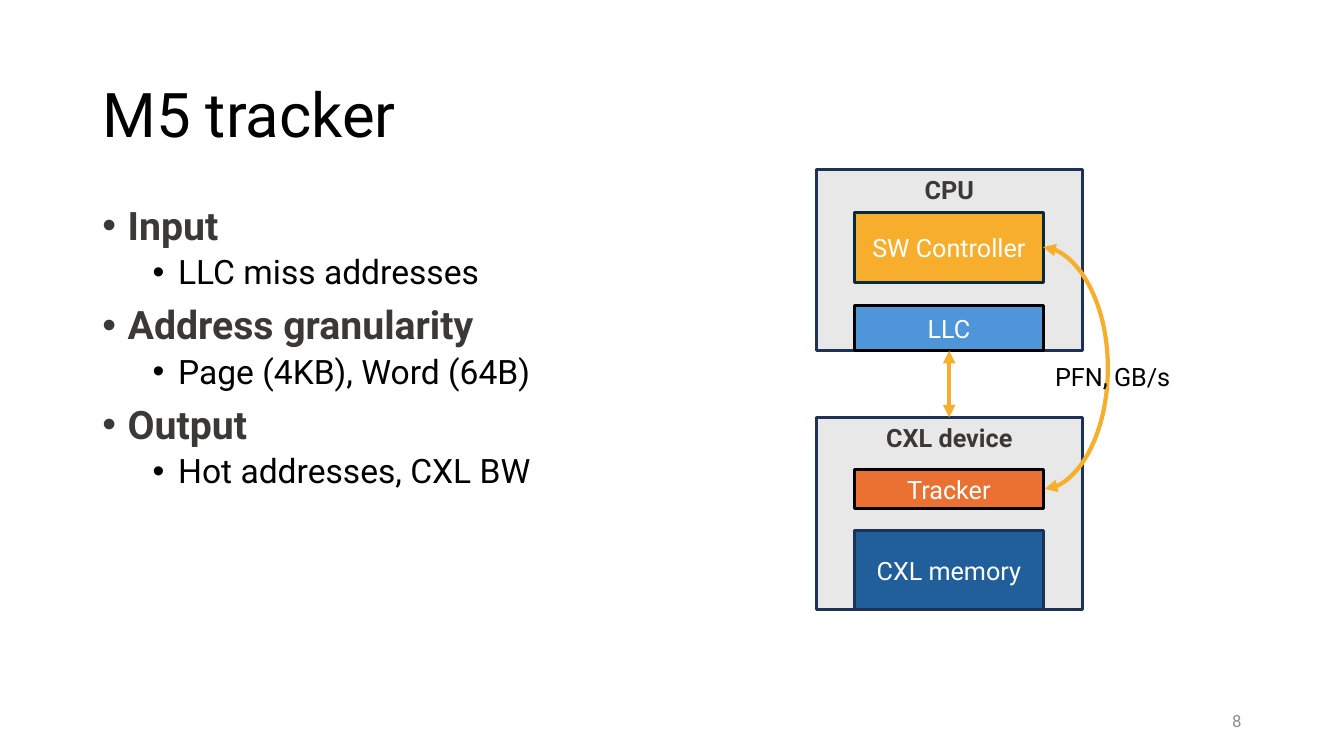
"""Builds the M5 tracker slide with its bullet list and block diagram."""
import pptx
import pptx.dml.color
import pptx.enum.shapes
import pptx.enum.text
import pptx.oxml.ns
import pptx.util
from lxml import etree

Cm = pptx.util.Cm
Pt = pptx.util.Pt
ALIGN = pptx.enum.text.PP_ALIGN
ANCHOR = pptx.enum.text.MSO_ANCHOR
CONNECTOR = pptx.enum.shapes.MSO_CONNECTOR
qn = pptx.oxml.ns.qn


def color(code):
    return pptx.dml.color.RGBColor.from_string(code)


class Diagram:
    """Style of the deck and the slide being drawn."""

    font, black, dark, white = "Roboto", "000000", "3B3838", "FFFFFF"
    navy, amber = "1E3256", "F7AE2D"

    def __init__(self, slide):
        self.slide = slide

    def add_run(self, paragraph, words, size, ink, bold=False):
        run = paragraph.add_run()
        run.text = words
        run.font.name = self.font
        run.font.size = Pt(size)
        run.font.bold = bold
        run.font.color.rgb = color(ink)

    def frame(self, left, top, width, height, anchor=ANCHOR.TOP, wrap=True):
        area = self.slide.shapes.add_textbox(Cm(left), Cm(top), Cm(width), Cm(height))
        area.text_frame.word_wrap = wrap
        area.text_frame.vertical_anchor = anchor
        return area.text_frame

    def text(self, words, place, size, ink, align=ALIGN.LEFT, anchor=ANCHOR.MIDDLE, wrap=True):
        paragraph = self.frame(*place, anchor, wrap).paragraphs[0]
        paragraph.alignment = align
        self.add_run(paragraph, words, size, ink)

    def bullets(self, items, place):
        body = self.frame(*place)
        for index, (level, words) in enumerate(items):
            paragraph = body.add_paragraph() if index else body.paragraphs[0]
            paragraph.level = level
            paragraph.line_spacing = 0.9
            paragraph.space_before = Pt((5 if level else 10) if index else 0)
            properties = paragraph._p.get_or_add_pPr()
            properties.set("marL", str(Cm(1.91 if level else 0.64)))
            properties.set("indent", str(-Cm(0.64)))
            etree.SubElement(properties, qn("a:buFont")).set("typeface", "Arial")
            etree.SubElement(properties, qn("a:buChar")).set("char", "•")
            if level:
                self.add_run(paragraph, words, 24, self.black)
            else:
                self.add_run(paragraph, words, 28, self.dark, True)

    def block(self, words, place, fill, line, ink, anchor=ANCHOR.MIDDLE, bold=False):
        rectangle = self.slide.shapes.add_shape(
            pptx.enum.shapes.MSO_SHAPE.RECTANGLE, *map(Cm, place))
        rectangle.shadow.inherit = False
        rectangle.fill.solid()
        rectangle.fill.fore_color.rgb = color(fill)
        rectangle.line.color.rgb = color(line)
        rectangle.line.width = Pt(2.25)
        rectangle.text_frame.word_wrap = True
        rectangle.text_frame.vertical_anchor = anchor
        paragraph = rectangle.text_frame.paragraphs[0]
        paragraph.alignment = ALIGN.CENTER
        self.add_run(paragraph, words, 18, ink, bold)

    def host(self, words, top, height):
        self.block(words, (20.57, top, 6.71, height), "E8E8E8", self.navy,
                   self.dark, ANCHOR.TOP, True)

    def unit(self, words, top, height, fill, line):
        self.block(words, (21.54, top, 4.75, height), fill, line, self.white)

    def arrow(self, start, end, bulge=0):
        kind = CONNECTOR.CURVE if bulge else CONNECTOR.STRAIGHT
        link = self.slide.shapes.add_connector(kind, *map(Cm, start + end))
        link.line.color.rgb = color(self.amber)
        link.line.width = Pt(3)
        properties = link._element.spPr
        outline = properties.find(qn("a:ln"))
        for tip in ("a:headEnd", "a:tailEnd"):
            etree.SubElement(outline, qn(tip)).set("type", "triangle")
        etree.SubElement(properties, qn("a:effectLst"))
        if bulge:
            ratio = round(bulge / (end[0] - start[0]) * 100000)
            guide = etree.SubElement(properties.find(".//" + qn("a:avLst")), qn("a:gd"))
            guide.set("name", "adj1")
            guide.set("fmla", f"val {ratio}")


def main():
    deck = pptx.Presentation()
    deck.slide_width, deck.slide_height = Cm(33.87), Cm(19.05)
    diagram = Diagram(deck.slides.add_slide(deck.slide_layouts[6]))

    diagram.text("M5 tracker", (2.33, 1.01, 29.21, 3.68), 44, diagram.black)
    diagram.text("8", (23.92, 17.66, 7.62, 1.01), 12, "8C8C8C", ALIGN.RIGHT)
    diagram.bullets([
        (0, "Input"), (1, "LLC miss addresses"),
        (0, "Address granularity"), (1, "Page (4KB), Word (64B)"),
        (0, "Output"), (1, "Hot addresses, CXL BW"),
    ], (2.33, 5.07, 13.87, 12.09))

    diagram.host("CXL device", 10.52, 4.85)
    diagram.unit("CXL memory", 13.36, 2.01, "215F9B", diagram.navy)
    diagram.unit("Tracker", 11.84, 0.97, "EA7131", diagram.black)
    diagram.host("CPU", 4.27, 4.57)
    diagram.unit("LLC", 7.7, 1.14, "4E95D9", diagram.black)
    diagram.unit("SW Controller", 5.36, 1.75, diagram.amber, "092A39")

    diagram.arrow((23.92, 8.84), (23.92, 10.52))
    diagram.arrow((26.29, 6.23), (26.33, 12.32), bulge=1.63)
    diagram.text("PFN, GB/s", (26.34, 8.97, 3.5, 1.03), 18, diagram.black,
                 anchor=ANCHOR.TOP, wrap=False)
    deck.save("out.pptx")


if __name__ == "__main__":
    main()
